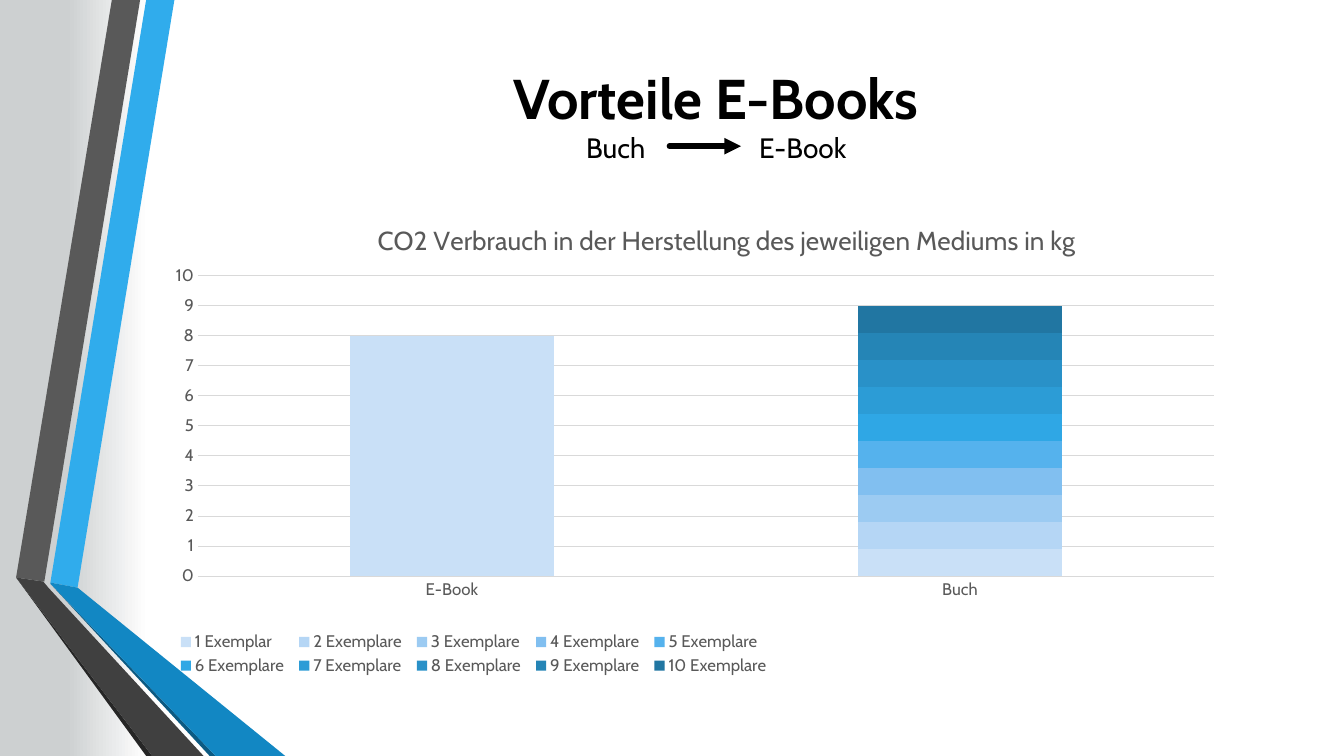
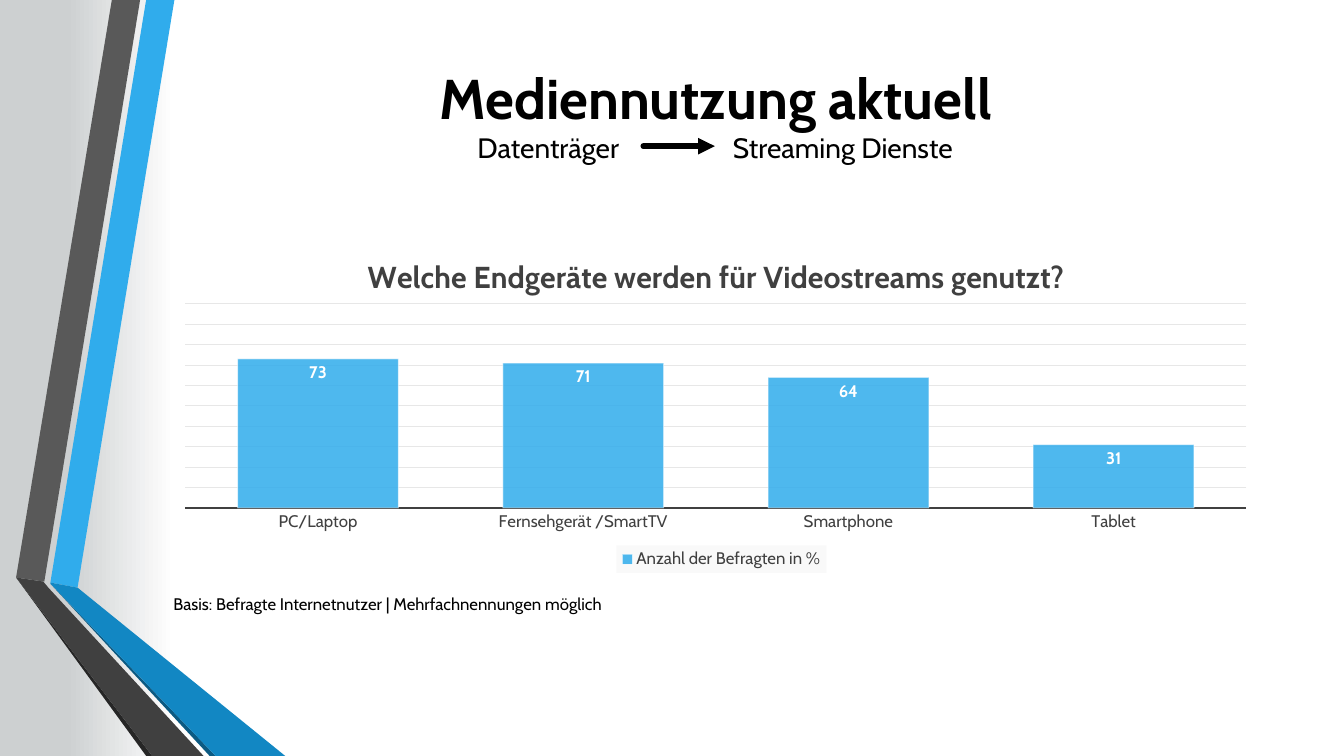
"""Build two slides on e-books and media use, each with a column chart."""
import pptx
import pptx.chart.data
import pptx.dml.color
import pptx.enum.chart
import pptx.enum.shapes
import pptx.enum.text
import pptx.oxml
import pptx.oxml.ns
import pptx.util

Inches, Pt = pptx.util.Inches, pptx.util.Pt
qn = pptx.oxml.ns.qn
XL = pptx.enum.chart
ALIGN = pptx.enum.text.PP_ALIGN

COLORS = {
    "black": "000000", "white": "FFFFFF", "back": "CDD0D1",
    "sky": "30ACEC", "blue": "1287C3", "navy": "0C5A82",
    "grey": "595959", "dark": "404040", "shade": "262626",
    "grid": "D9D9D9", "faint": "E7E7E7", "legend": "F9F9F9",
}
STACK = ["C9E0F7", "B5D6F5", "9CCBF2", "81BFF0", "55B2ED",
         "2FA7E5", "2C9CD6", "2991C8", "2585B6", "2176A2"]
BANDS = [
    ("sky", [(0.5, 5.78), (0.77, 5.83), (1.73, 0), (1.45, 0)]),
    ("grey", [(1.39, 0), (1.11, 0), (0.16, 5.73), (0.44, 5.77)]),
    ("shade", [(0.16, 5.73), (1.45, 7.5), (1.51, 7.5)]),
    ("navy", [(0.5, 5.79), (2.08, 7.5), (2.14, 7.5)]),
    ("blue", [(0.5, 5.79), (2.14, 7.5), (2.83, 7.5), (0.77, 5.83), (0.5, 5.78)]),
    ("dark", [(2.02, 7.5), (0.48, 5.83), (0.43, 5.77), (0.16, 5.73), (1.51, 7.5)]),
]


def rgb(name):
    return pptx.dml.color.RGBColor.from_string(COLORS.get(name, name))


def xml(tag, **attrs):
    prefix = tag.split(":")[0]
    el = pptx.oxml.parse_xml(f"<{tag} {pptx.oxml.ns.nsdecls(prefix)}/>")
    for key, value in attrs.items():
        el.set(key, str(value))
    return el


def apply(obj, values):
    for key, value in values.items():
        setattr(obj, key, value)


class Deck:
    font = "Cabin"

    def __init__(self):
        self.prs = pptx.Presentation()
        apply(self.prs, {"slide_width": Inches(13.33), "slide_height": Inches(7.5)})
        self.s = None

    def style(self, font, size, color, bold=False):
        apply(font, {"name": self.font, "size": Pt(size), "bold": bold})
        font.color.rgb = rgb(color)

    def slide(self, fade_end):
        self.s = self.prs.slides.add_slide(self.prs.slide_layouts[6])
        fill = self.s.background.fill
        fill.gradient()
        fill.gradient_angle = 0
        stops = [(0.05, "back"), (fade_end, "white")]
        for stop, (position, color) in zip(fill.gradient_stops, stops):
            stop.position = position
            stop.color.rgb = rgb(color)
        for color, points in BANDS:
            self.band(color, points)

    def band(self, color, points):
        start, *rest = [(Inches(x), Inches(y)) for x, y in points]
        builder = self.s.shapes.build_freeform(*start)
        builder.add_line_segments(rest, close=True)
        sp = builder.convert_to_shape()
        sp.shadow.inherit = False
        sp.fill.solid()
        sp.fill.fore_color.rgb = rgb(color)
        sp.line.fill.background()

    def text(self, text, box, size, align=ALIGN.LEFT, bold=False):
        tf = self.s.shapes.add_textbox(*map(Inches, box)).text_frame
        apply(tf, {"word_wrap": True, "margin_left": 0, "margin_right": 0,
                   "margin_top": 0, "margin_bottom": 0})
        p = tf.paragraphs[0]
        p.alignment = align
        r = p.add_run()
        r.text = text
        self.style(r.font, size, "black", bold)

    def heading(self, title, before, after, arrow_x):
        arrow_w, word_w, y = 0.71, 3, 1.29
        self.text(title, (1.62, 0.63, 10.96, 0.68), 40, ALIGN.CENTER, True)
        self.text(before, (arrow_x - 0.24 - word_w, y, word_w, 0.34), 20, ALIGN.RIGHT)
        self.text(after, (arrow_x + arrow_w + 0.18, y, word_w, 0.34), 20)
        self.arrow(arrow_x, arrow_x + arrow_w, 1.45)

    def arrow(self, x1, x2, y):
        sp = self.s.shapes.add_connector(
            pptx.enum.shapes.MSO_CONNECTOR.STRAIGHT,
            Inches(x1), Inches(y), Inches(x2), Inches(y))
        sp.line.width = Pt(4)
        sp.line.color.rgb = rgb("black")
        spPr = sp._element.spPr
        ln = spPr.find(qn("a:ln"))
        ln.set("cap", "rnd")
        ln.append(xml("a:tailEnd", type="triangle"))
        spPr.append(xml("a:effectLst"))

    def layout(self, chart, part, index, target=None, **place):
        el = chart._chartSpace.find(".//" + qn(part))
        for old in el.findall(qn("c:layout")):
            el.remove(old)
        layout, manual = xml("c:layout"), xml("c:manualLayout")
        if target:
            manual.append(xml("c:layoutTarget", val=target))
        for key in ("x", "y"):
            manual.append(xml(f"c:{key}Mode", val="edge"))
        for key, value in place.items():
            manual.append(xml(f"c:{key}", val=value))
        layout.append(manual)
        el.insert(index, layout)

    def chart(self, kind, box, cats, series, title, size, bold, color, grid, top, step, gap):
        data = pptx.chart.data.CategoryChartData()
        data.categories = cats
        for name, values in series:
            data.add_series(name, values)
        chart = self.s.shapes.add_chart(kind, *map(Inches, box), data).chart
        self.style(chart.font, 12, color)
        chart.has_title = True
        tf = chart.chart_title.text_frame
        tf.text = title
        self.style(tf.paragraphs[0].runs[0].font, size, color, bold)
        chart.has_legend = True
        apply(chart.legend, {"position": XL.XL_LEGEND_POSITION.BOTTOM,
                             "include_in_layout": False})
        self.style(chart.legend.font, 12, color)
        apply(chart.plots[0], {"gap_width": gap, "vary_by_categories": False})
        for axis in (chart.category_axis, chart.value_axis):
            apply(axis, {"major_tick_mark": XL.XL_TICK_MARK.NONE,
                         "minor_tick_mark": XL.XL_TICK_MARK.NONE})
            self.style(axis.tick_labels.font, 12, color)
        axis = chart.value_axis
        apply(axis, {"minimum_scale": 0, "maximum_scale": top, "major_unit": step,
                     "has_major_gridlines": True})
        axis.format.line.fill.background()
        self.line(axis.major_gridlines.format.line, grid, 0.75)
        return chart

    def line(self, line, color, width):
        line.color.rgb = rgb(color)
        line.width = Pt(width)


def ebooks(deck):
    deck.slide(0.11)
    deck.heading("Vorteile E-Books", "Buch", "E-Book", 6.64)
    series = [(f"{n} Exemplar" + ("e" if n > 1 else ""), (8 if n == 1 else None, 0.9))
              for n in range(1, len(STACK) + 1)]
    chart = deck.chart(
        XL.XL_CHART_TYPE.COLUMN_STACKED, (1.7, 1.96, 10.52, 5.03), ["E-Book", "Buch"],
        series, "CO2 Verbrauch in der Herstellung des jeweiligen Mediums in kg",
        18.6, False, "grey", "grid", 10, 1, 150)
    chart.plots[0].overlap = 100
    deck.line(chart.category_axis.format.line, "grid", 0.75)
    for ser, color in zip(chart.plots[0].series, STACK):
        ser.format.fill.solid()
        ser.format.fill.fore_color.rgb = rgb(color)
    deck.layout(chart, "c:title", 1, x=0.19, y=0.04)
    deck.layout(chart, "c:plotArea", 0, "inner", x=0.025, y=0.154, w=0.958, h=0.593)
    deck.layout(chart, "c:legend", 1, x=0, y=0.85, w=0.57, h=0.1)


def streaming(deck):
    deck.slide(0.13)
    deck.heading("Mediennutzung aktuell", "Datenträger", "Streaming Dienste", 6.38)
    chart = deck.chart(
        XL.XL_CHART_TYPE.COLUMN_CLUSTERED, (1.62, 2.28, 10.96, 3.42),
        ["PC/Laptop", "Fernsehgerät /SmartTV", "Smartphone", "Tablet"],
        [("Anzahl der Befragten in %", (73, 71, 64, 31))],
        "Welche Endgeräte werden für Videostreams genutzt?",
        21.6, True, "dark", "faint", 100, 10, 65)
    chart.value_axis.visible = False
    deck.line(chart.category_axis.format.line, "dark", 1.5)
    ser = chart.plots[0].series[0]
    ser.format.fill.solid()
    ser.format.fill.fore_color.rgb = rgb("sky")
    deck.line(ser.format.line, "white", 0.75)
    spPr = chart._chartSpace.find(".//" + qn("c:ser") + "/" + qn("c:spPr"))
    for color, alpha in zip(spPr.iter(qn("a:srgbClr")), (85000, 50000)):
        color.append(xml("a:alpha", val=alpha))
    labels = ser.data_labels
    apply(labels, {"show_value": True, "position": XL.XL_LABEL_POSITION.INSIDE_END})
    deck.style(labels.font, 12, "white", True)
    deck.layout(chart, "c:title", 1, x=0.18, y=0.06)
    deck.layout(chart, "c:plotArea", 0, "inner", x=0.02, y=0.215, w=0.96, h=0.592)
    deck.layout(chart, "c:legend", 1, x=0.41, y=0.92, w=0.19, h=0.08)
    legend = chart._chartSpace.find(".//" + qn("c:legend"))
    spPr, fill = xml("c:spPr"), xml("a:solidFill")
    fill.append(xml("a:srgbClr", val=COLORS["legend"]))
    spPr.append(fill)
    legend.find(qn("c:overlay")).addnext(spPr)
    deck.text("Basis: Befragte Internetnutzer | Mehrfachnennungen möglich",
              (1.72, 5.89, 7.2, 0.2), 12)


def main():
    deck = Deck()
    ebooks(deck)
    streaming(deck)
    deck.prs.save("out.pptx")


if __name__ == "__main__":
    main()
